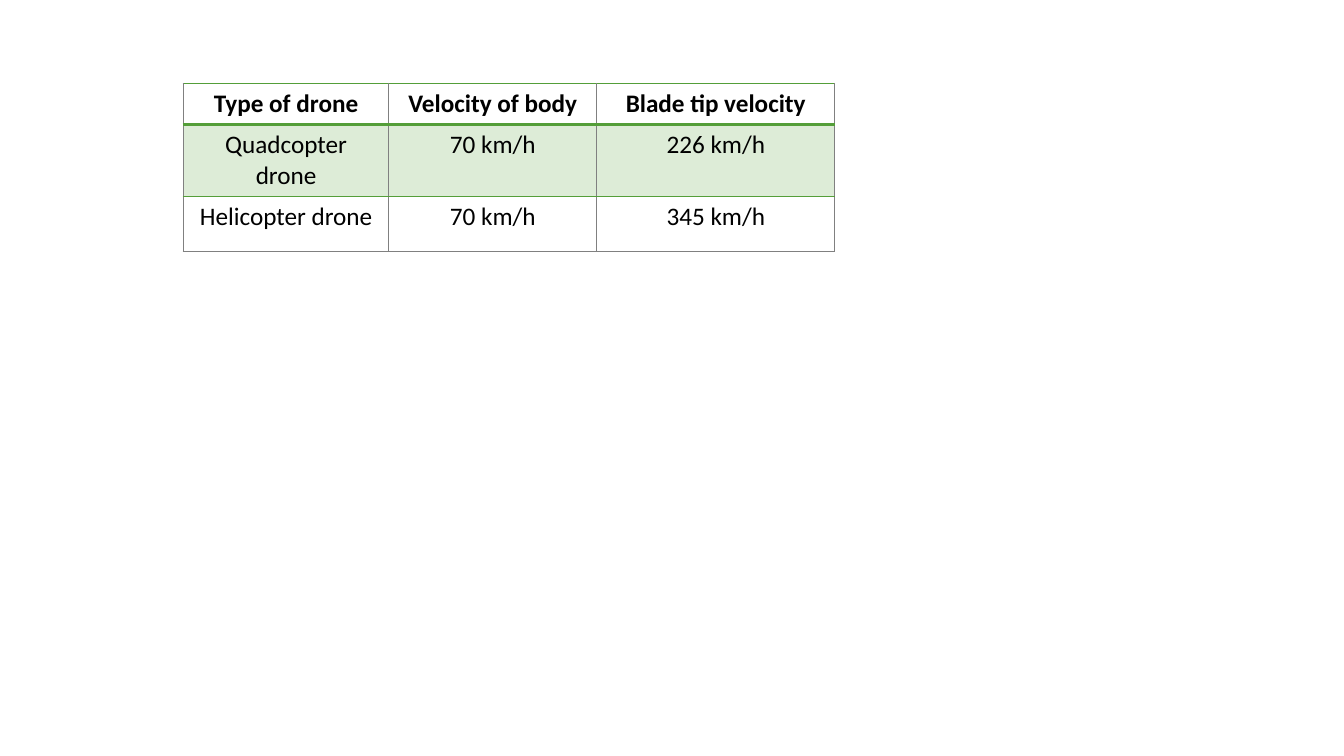
from lxml.etree import SubElement
from pptx import Presentation
from pptx.dml.color import RGBColor
from pptx.enum.text import PP_ALIGN
from pptx.oxml.ns import qn
from pptx.util import Cm, Pt

# Content
ROWS = [
    ("Type of drone", "Velocity of body", "Blade tip velocity"),
    ("Quadcopter drone", "70 km/h", "226 km/h"),
    ("Helicopter drone", "70 km/h", "345 km/h"),
]

# Layout in cm
LEFT, TOP = 4.62, 2.11
COL_WIDTHS = [5.18, 5.24, 6.0]
ROW_HEIGHTS = [1.0, 1.4, 1.4]

BLACK = RGBColor(0x00, 0x00, 0x00)
GREEN = RGBColor(0x54, 0x9E, 0x39)
GREY = RGBColor(0x80, 0x80, 0x80)
PALE_GREEN = RGBColor(0xDD, 0xEC, 0xD7)

# Rule above each row, then the one below the table: colour, points
RULES = [(GREEN, 1), (GREEN, 2), (GREEN, 1), (GREY, 1)]


def add_border(cell, side, color, width):
    ln = SubElement(cell._tc.get_or_add_tcPr(), qn(f"a:ln{side}"), w=str(Pt(width)))
    fill = SubElement(ln, qn("a:solidFill"))
    SubElement(fill, qn("a:srgbClr"), val=str(color))


def fill_cell(cell, text, row):
    # Borders come before the fill in the cell properties
    for side, rule in zip("LRTB", [(GREY, 1), (GREY, 1), RULES[row], RULES[row + 1]]):
        add_border(cell, side, *rule)
    if row == 1:
        cell.fill.solid()
        cell.fill.fore_color.rgb = PALE_GREEN
    else:
        cell.fill.background()
    p = cell.text_frame.paragraphs[0]
    p.alignment = PP_ALIGN.CENTER
    r = p.add_run()
    r.text = text
    r.font.name = "Calibri"
    r.font.size = Pt(18)
    r.font.bold = row == 0
    r.font.color.rgb = BLACK


prs = Presentation()
prs.slide_width, prs.slide_height = Cm(33.87), Cm(19.05)
s = prs.slides.add_slide(prs.slide_layouts[6])

# Drone velocity table
table = s.shapes.add_table(
    len(ROWS), len(COL_WIDTHS), Cm(LEFT), Cm(TOP),
    Cm(sum(COL_WIDTHS)), Cm(sum(ROW_HEIGHTS))).table
table.first_row = table.horz_banding = False
for column, width in zip(table.columns, COL_WIDTHS):
    column.width = Cm(width)
for i, (texts, height) in enumerate(zip(ROWS, ROW_HEIGHTS)):
    table.rows[i].height = Cm(height)
    for j, text in enumerate(texts):
        fill_cell(table.cell(i, j), text, i)

prs.save("out.pptx")
